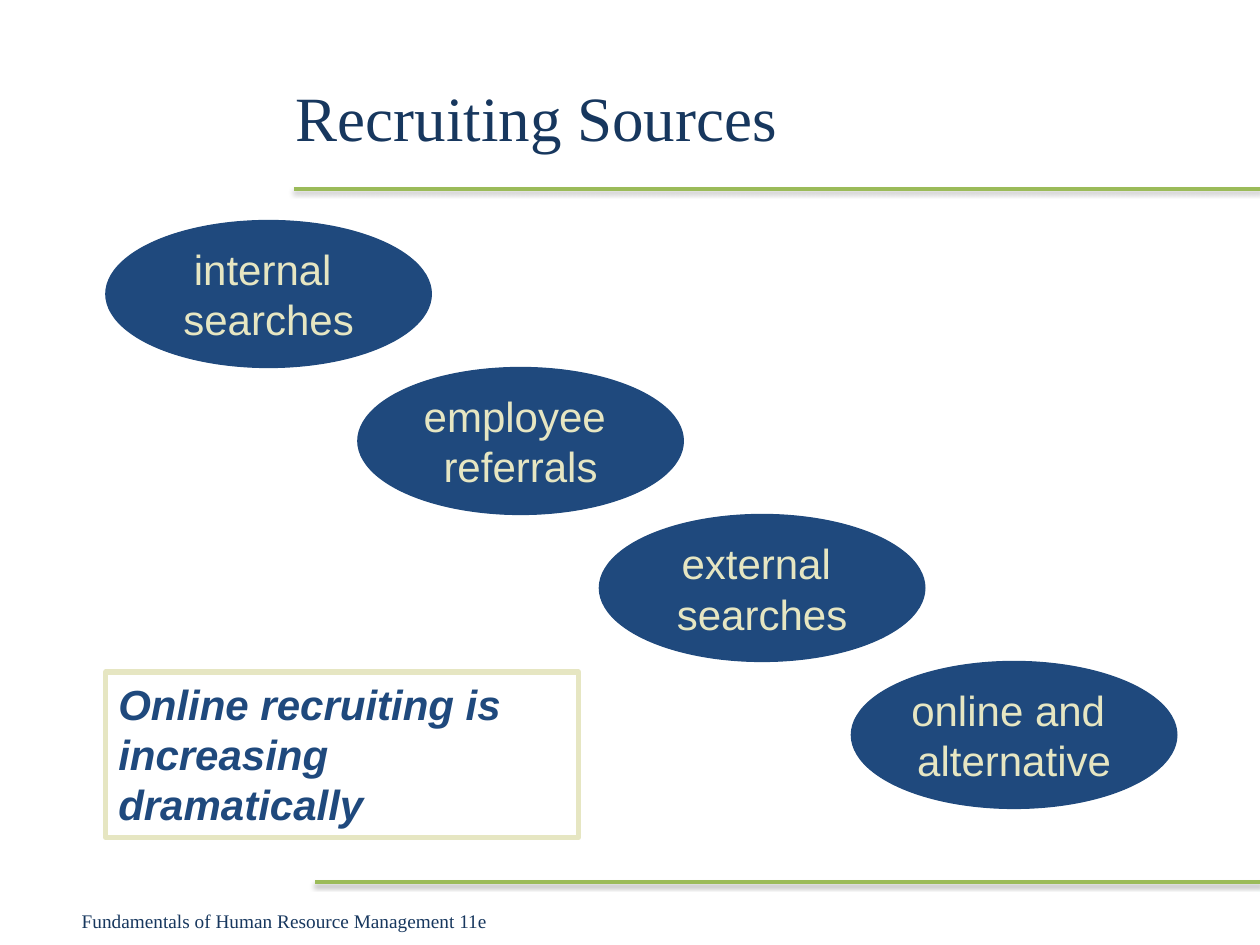
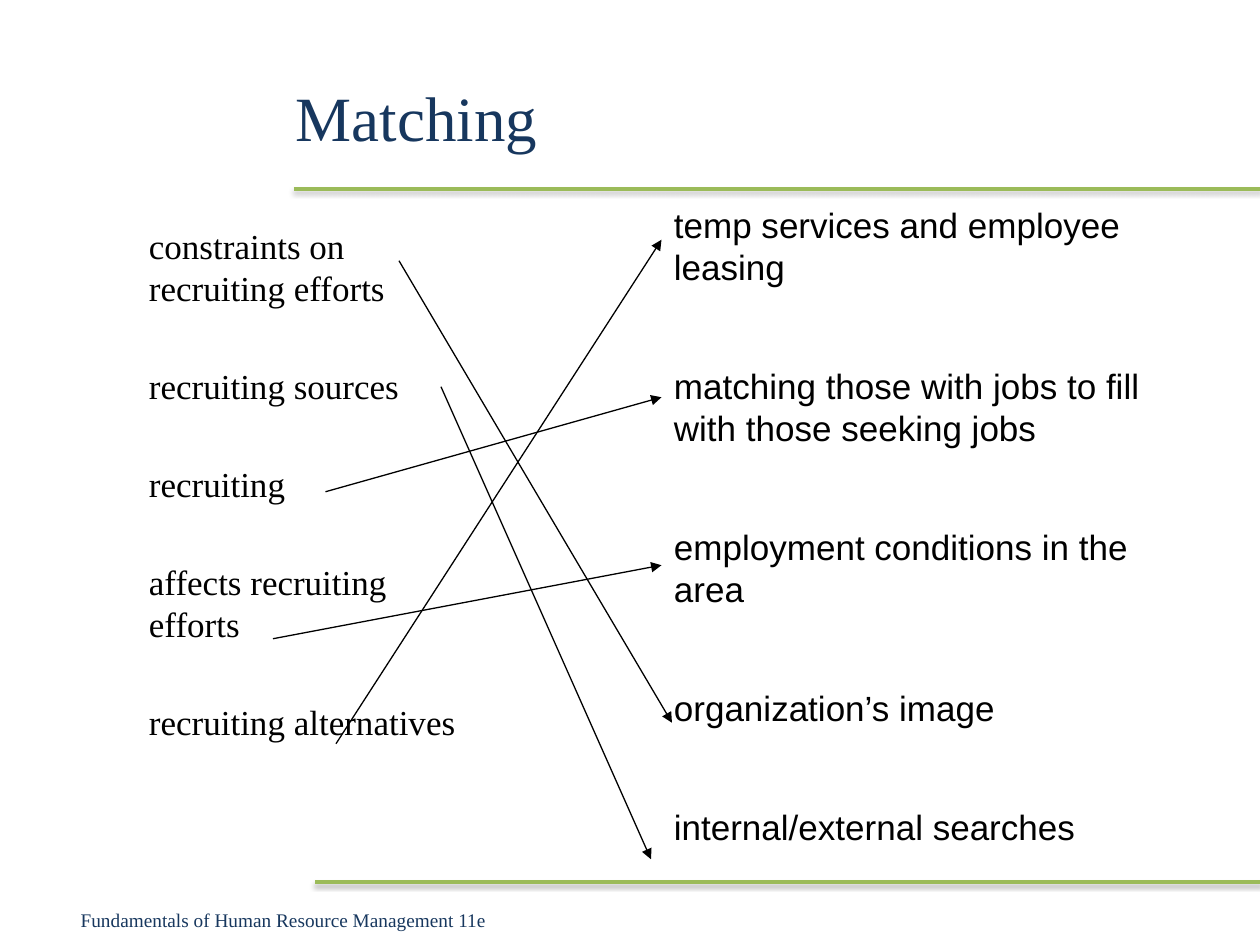
from lxml import etree
from pptx import Presentation
from pptx.dml.color import RGBColor
from pptx.enum.shapes import MSO_CONNECTOR, MSO_SHAPE
from pptx.enum.text import MSO_ANCHOR, PP_ALIGN
from pptx.oxml.ns import qn
from pptx.util import Pt

# Content
COLORS = {"navy": "17375E", "blue": "1F497D", "cream": "E6E6C2",
          "green": "9BBB59", "black": "000000"}
SERIF, SANS = "Times New Roman", "Arial"
FOOTER = "Fundamentals of Human Resource Management 11e"

SOURCES = [  # left edge, lines of the label
    (60.5, ["internal ", "searches"]),
    (204.5, ["employee ", "referrals"]),
    (342.5, ["external ", "searches"]),
    (486.5, ["online and ", "alternative"]),
]
NOTE = "Online recruiting is increasing dramatically"

TERMS = ["constraints on recruiting efforts", "recruiting sources", "recruiting",
         "affects recruiting efforts", "recruiting alternatives"]
MEANINGS = ["temp services and employee leasing",
            "matching those with jobs to fill with those seeking jobs",
            "employment conditions in the area", "organization’s image",
            "internal/external searches"]
MATCHES = [  # start, end of each arrow, in the order of the terms
    ((228, 149), (384, 413)),
    ((252, 221), (372, 491)),
    ((186, 281), (378, 227)),
    ((156, 365), (378, 323)),
    ((192, 425), (378, 137)),
]

# Layout
RULES = [(168, 108), (180, 504)]  # left end, height on the page
OVAL_TOP, OVAL_WIDTH, OVAL_HEIGHT = 126, 186, 84


def color(name):
    return RGBColor.from_string(COLORS[name])


def write(shape, lines, *, size, font=SERIF, ink="navy", bold=False, italic=False,
          align=PP_ALIGN.LEFT, anchor=MSO_ANCHOR.TOP, wrap=True, gap=0):
    frame = shape.text_frame
    frame.word_wrap = wrap
    frame.vertical_anchor = anchor
    for i, line in enumerate(lines):
        paragraph = frame.add_paragraph() if i else frame.paragraphs[0]
        paragraph.alignment = align
        if i < len(lines) - 1:
            paragraph.space_after = Pt(gap)
        run = paragraph.add_run()
        run.text = line
        run.font.size = Pt(size)
        run.font.name = font
        run.font.bold = bold
        run.font.italic = italic
        run.font.color.rgb = color(ink)


def text_box(slide, area, lines, **style):
    write(slide.shapes.add_textbox(*map(Pt, area)), lines, **style)


def figure(slide, kind, area, outline, weight, fill=None):
    shape = slide.shapes.add_shape(kind, *map(Pt, area))
    shape.shadow.inherit = False
    shape.line.color.rgb = color(outline)
    shape.line.width = Pt(weight)
    if fill:
        shape.fill.solid()
        shape.fill.fore_color.rgb = color(fill)
    else:
        shape.fill.background()
    return shape


def line(slide, start, end, ink, weight, arrow=False, shadow=False):
    connector = slide.shapes.add_connector(
        MSO_CONNECTOR.STRAIGHT, *map(Pt, (*start, *end)))
    connector.line.color.rgb = color(ink)
    connector.line.width = Pt(weight)
    properties = connector._element.spPr
    if arrow:
        etree.SubElement(properties.find(qn("a:ln")), qn("a:tailEnd"), type="triangle")
    effects = etree.SubElement(properties, qn("a:effectLst"))
    if shadow:
        cast = etree.SubElement(effects, qn("a:outerShdw"), blurRad=str(Pt(3.1)),
                                dist=str(Pt(1.6)), dir="5400000", rotWithShape="0")
        shade = etree.SubElement(cast, qn("a:srgbClr"), val=COLORS["black"])
        etree.SubElement(shade, qn("a:alpha"), val="38000")


def new_slide(deck, title, footer_area):
    slide = deck.slides.add_slide(deck.slide_layouts[6])
    for left, height in RULES:
        line(slide, (left, height), (720, height), "green", 2, shadow=True)
    text_box(slide, (162, 21.6, 522, 90), [title], size=36, anchor=MSO_ANCHOR.MIDDLE)
    text_box(slide, footer_area, [FOOTER], size=11, anchor=MSO_ANCHOR.MIDDLE)
    return slide


def recruiting_sources(deck):
    slide = new_slide(deck, "Recruiting Sources", (39.6, 512.8, 291, 27))
    note = figure(slide, MSO_SHAPE.RECTANGLE, (60.5, 384, 270, 94.5), "cream", 3)
    write(note, [NOTE], size=24, font=SANS, ink="blue", bold=True, italic=True)
    # Descending steps of ovals
    for step, (left, label) in enumerate(SOURCES):
        area = (left, OVAL_TOP + step * OVAL_HEIGHT, OVAL_WIDTH, OVAL_HEIGHT)
        oval = figure(slide, MSO_SHAPE.OVAL, area, "blue", 0.75, fill="blue")
        write(oval, label, size=24, font=SANS, ink="cream", align=PP_ALIGN.CENTER,
              anchor=MSO_ANCHOR.MIDDLE, wrap=False)


def matching(deck):
    slide = new_slide(deck, "Matching", (39, 511.2, 297, 28.8))
    text_box(slide, (78, 124.6, 198, 356), TERMS, size=20, ink="black", gap=32)
    text_box(slide, (378, 113, 300, 427), MEANINGS, size=20, font=SANS,
             ink="black", gap=44)
    # Arrows from term to meaning
    for start, end in MATCHES:
        line(slide, start, end, "black", 0.75, arrow=True)


def main():
    deck = Presentation()
    deck.slide_width, deck.slide_height = Pt(720), Pt(540)
    recruiting_sources(deck)
    matching(deck)
    deck.save("out.pptx")


if __name__ == "__main__":
    main()
